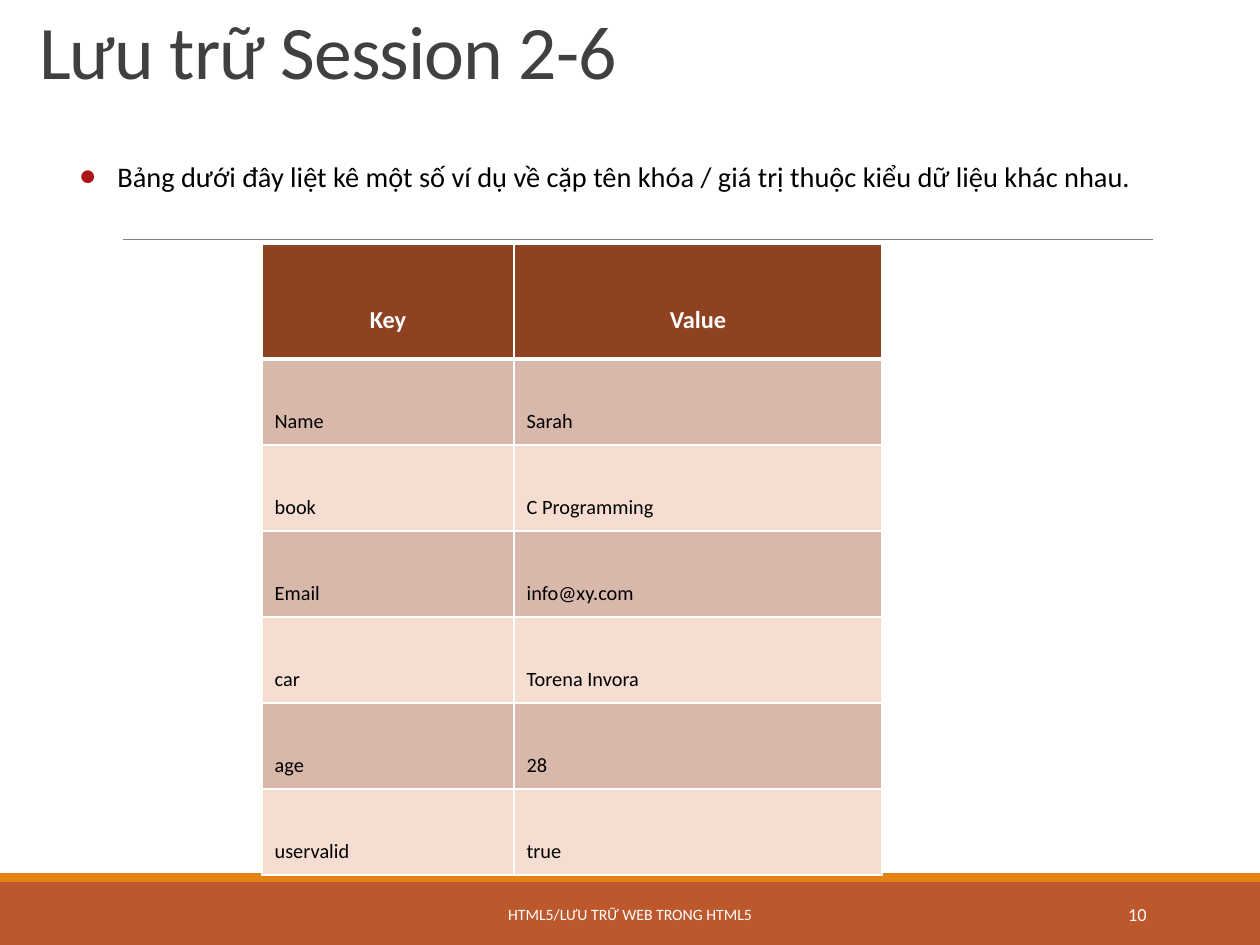
from pptx import Presentation, util as u
from pptx.dml.color import RGBColor
from pptx.enum import shapes, text
from pptx.oxml.ns import qn
from lxml import etree

# Content
TITLE = "Lưu trữ Session 2-6"
INTRO = "Bảng dưới đây liệt kê một số ví dụ về cặp tên khóa / giá trị thuộc kiểu dữ liệu khác nhau."
FOOTER = "HTML5/LƯU TRỮ WEB TRONG HTML5"
PAGE_NUMBER = "10"
ROWS = [
    ("Key", "Value"),
    ("Name", "Sarah"),
    ("book", "C Programming"),
    ("Email", "info@xy.com"),
    ("car", "Torena Invora"),
    ("age", "28"),
    ("uservalid", "true"),
]
COLUMN_WIDTHS = (252, 368)
HEADER_HEIGHT, ROW_HEIGHT = 115, 86
HEADER_FILL, BAND_FILLS = "8E4221", ("D7B8AB", "F5DDD2")
BANDS = [(0, 882, 1260, 63, "BD582C"), (0, 873, 1260, 9, "E48312")]
FONT = "Calibri"
LEFT, CENTER, RIGHT = text.PP_ALIGN.LEFT, text.PP_ALIGN.CENTER, text.PP_ALIGN.RIGHT
JUSTIFY = text.PP_ALIGN.JUSTIFY


def px(*lengths):
    return [u.Emu(round(length * 914400 / 126)) for length in lengths]


def color(code):
    return RGBColor.from_string(code)


def write(frame, words, size, code, align, bold=False, **attributes):
    para = frame.paragraphs[0]
    para.text = words
    para.alignment = align
    font = para.font
    font.name, font.size, font.bold = FONT, u.Pt(size), bold
    font.color.rgb = color(code)
    for name, value in attributes.items():
        font._element.set(name, str(value))
    return para


def add_text(place, *args, **attributes):
    frame = page.shapes.add_textbox(*px(*place)).text_frame
    frame.word_wrap = True
    frame.vertical_anchor = text.MSO_ANCHOR.MIDDLE
    return write(frame, *args, **attributes)


def add_border(cell, side, points):
    line = etree.SubElement(cell._tc.get_or_add_tcPr(), qn("a:ln" + side), w=str(u.Pt(points)))
    fill = etree.SubElement(line, qn("a:solidFill"))
    etree.SubElement(fill, qn("a:srgbClr"), val="FFFFFF")


deck = Presentation()
deck.slide_width, deck.slide_height = px(1260, 945)
page = deck.slides.add_slide(deck.slide_layouts[5])

# Footer bands and rule
for *place, code in BANDS:
    band = page.shapes.add_shape(shapes.MSO_SHAPE.RECTANGLE, *px(*place))
    band.shadow.inherit = False
    band.fill.solid()
    band.fill.fore_color.rgb = color(code)
    band.line.fill.background()
rule = page.shapes.add_connector(shapes.MSO_CONNECTOR.STRAIGHT, *px(123, 239, 1153, 239))
rule.line.color.rgb = color("808080")
rule.line.width = u.Pt(0.5)
etree.SubElement(rule._element.spPr, qn("a:effectLst"))

# Footer text
add_text((1023, 889, 136, 50), PAGE_NUMBER, 10.5, "FFFFFF", RIGHT)
add_text((380, 889, 500, 50), FOOTER, 9, "FFFFFF", CENTER)

# Title
title = page.shapes.title
title.left, title.top, title.width, title.height = px(10, 28, 1229, 57)
frame = title.text_frame
frame.auto_size = text.MSO_AUTO_SIZE.NONE
frame.vertical_anchor = text.MSO_ANCHOR.MIDDLE
frame.margin_left, = px(29)
write(frame, TITLE, 43.2, "404040", LEFT, spc=-50).line_spacing = 0.85

# Key and value table
height = HEADER_HEIGHT + ROW_HEIGHT * (len(ROWS) - 1)
holder = page.shapes.add_table(len(ROWS), len(COLUMN_WIDTHS),
                               *px(262, 244, sum(COLUMN_WIDTHS), height))
table = holder.table
for column, width in zip(table.columns, px(*COLUMN_WIDTHS)):
    column.width = width
for r, values in enumerate(ROWS):
    header = r == 0
    table.rows[r].height, = px(HEADER_HEIGHT if header else ROW_HEIGHT)
    for c, value in enumerate(values):
        cell = table.cell(r, c)
        for side in "LRTB":
            thick = (side == "B" and r == 0) or (side == "T" and r == 1)
            add_border(cell, side, 3 if thick else 1)
        cell.fill.solid()
        cell.fill.fore_color.rgb = color(HEADER_FILL if header else BAND_FILLS[(r - 1) % 2])
        cell.vertical_anchor = text.MSO_ANCHOR.BOTTOM
        if header:
            write(cell.text_frame, value, 24, "FFFFFF", CENTER, True, baseline=30000)
        else:
            cell.margin_top = cell.margin_bottom = 0
            para = write(cell.text_frame, value, 20, "000000", JUSTIFY if c else LEFT, baseline=30000)
            para.line_spacing = 0.7

# Bulleted introduction
para = add_text((42, 147, 1176, 92), INTRO, 28, "000000", JUSTIFY, baseline=30000)
para._p.getparent().bodyPr.set("anchor", "t")
settings = para._p.get_or_add_pPr()
settings.set("marL", str(u.Inches(0.5)))
settings.set("indent", str(u.Inches(-0.3)))
bullet_color = etree.Element(qn("a:buClr"))
etree.SubElement(bullet_color, qn("a:srgbClr"), val="AC1418")
bullet = etree.Element(qn("a:buChar"), char="•")
settings.insert(0, bullet_color)
settings.insert(1, bullet)

deck.save("out.pptx")
